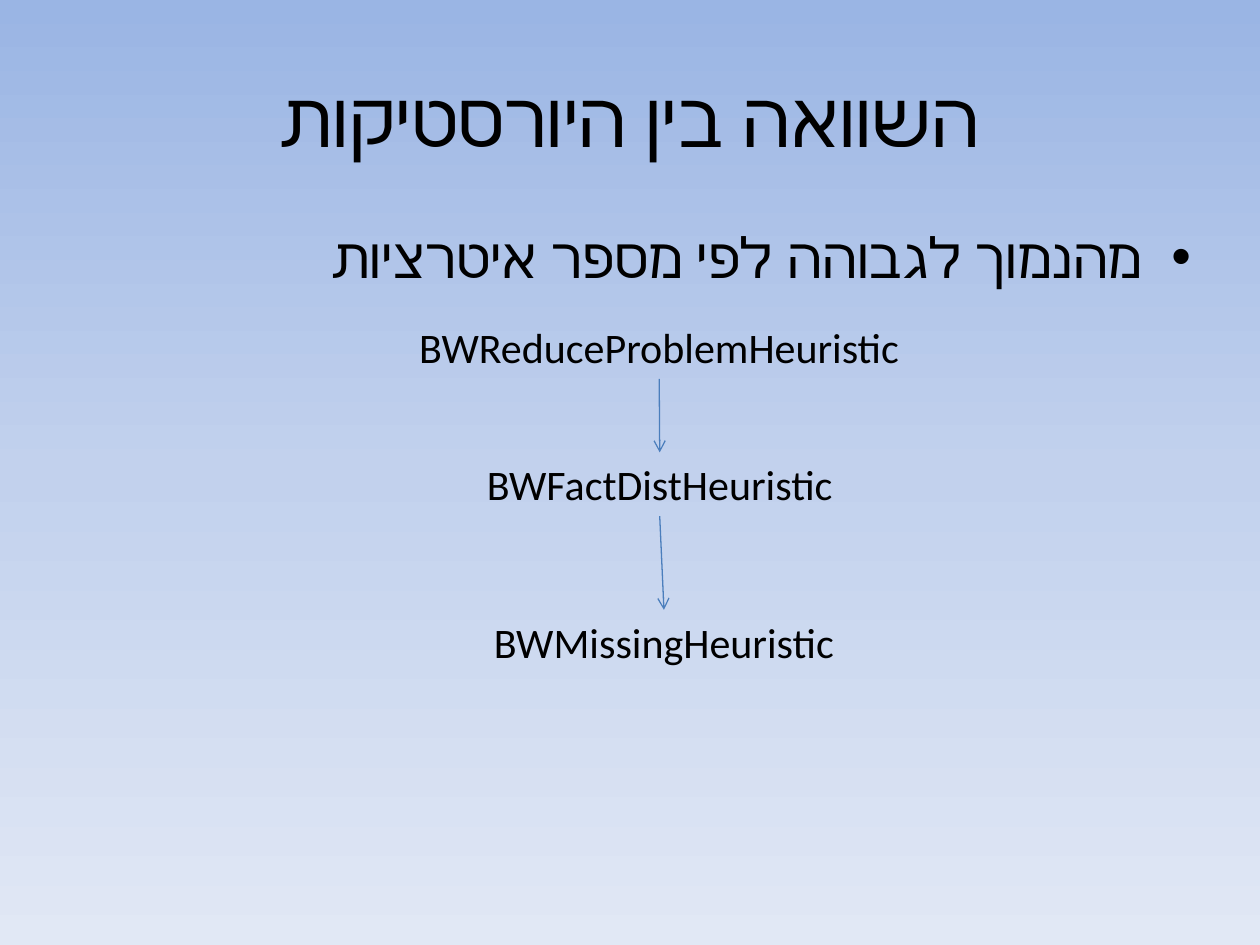
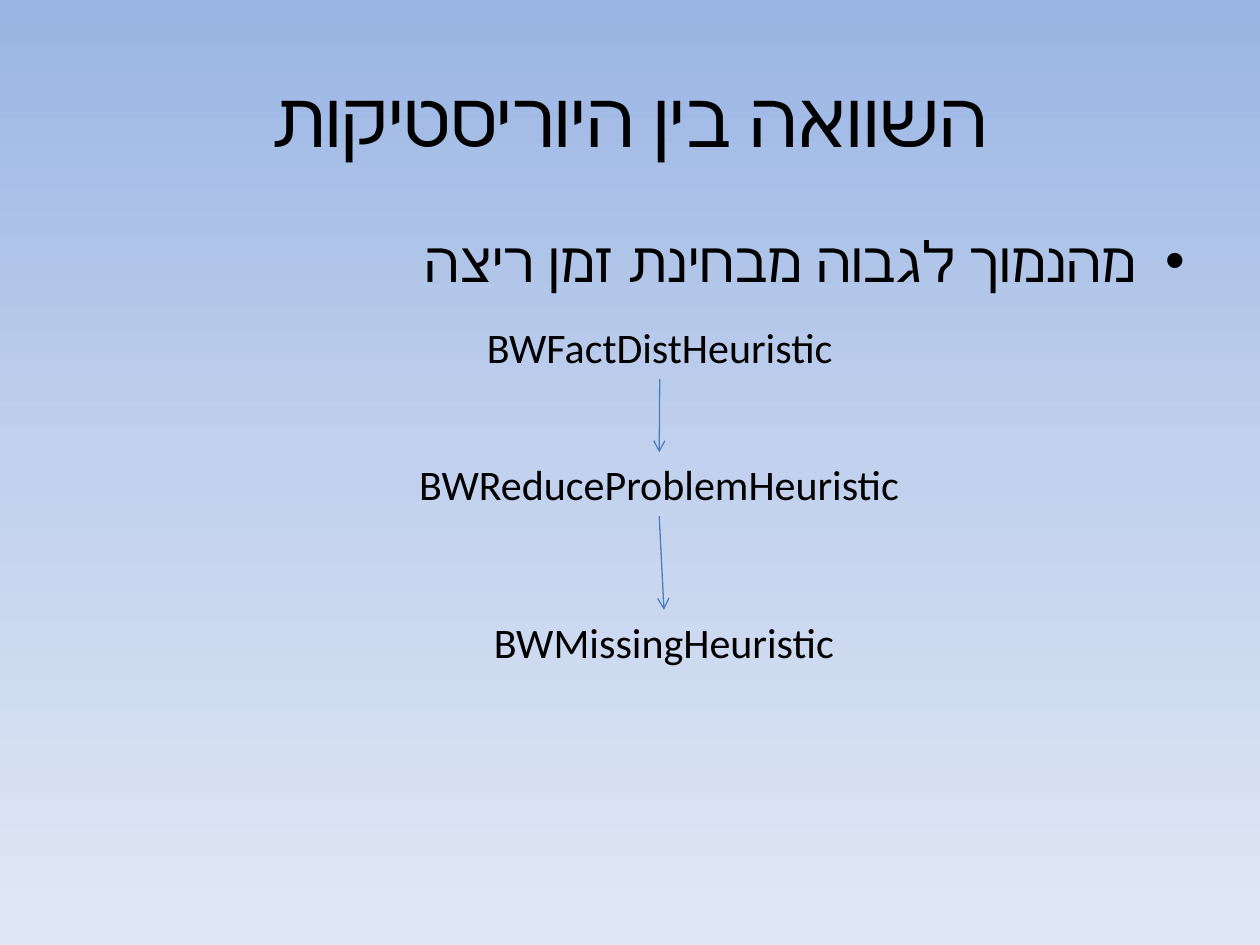
from copy import deepcopy
from itertools import pairwise
from lxml.etree import SubElement
from pptx import Presentation
from pptx.dml.color import RGBColor
from pptx.enum.lang import MSO_LANGUAGE_ID
from pptx.enum.shapes import MSO_CONNECTOR
from pptx.enum.text import MSO_ANCHOR, MSO_AUTO_SIZE, PP_ALIGN
from pptx.oxml.ns import qn
from pptx.util import Pt

HEURISTIC_BOXES = {
    "BWReduceProblemHeuristic": (376.7, 360, True),
    "BWFactDistHeuristic": (377, 214, False),
    "BWMissingHeuristic": (379.4, 242, True),
}
ROW_TOPS = (180, 258.5, 348.5)
ROW_HEIGHT = 36


def color(hex_string):
    return RGBColor.from_string(hex_string)


class Deck:
    font_name = "Calibri"
    text_color = "000000"
    arrow_color = "4B7EBC"
    background_colors = ("9AB5E4", "C2D1ED", "E1E8F5")

    def __init__(self):
        self.presentation = Presentation()
        self.presentation.slide_width = Pt(720)
        self.presentation.slide_height = Pt(540)
        self.slide = None
        self.set_background()

    def set_background(self):
        master = self.presentation.slide_master
        fill = master.background.fill
        fill.gradient()
        fill.gradient_angle = 270
        stop_list = master.element.find(".//" + qn("a:gsLst"))
        stop_list.insert(1, deepcopy(stop_list[0]))
        for stop, position, hex_string in zip(fill.gradient_stops, (0, 0.5, 1), self.background_colors):
            stop.position = position
            stop.color.rgb = color(hex_string)

    def format_text(self, shape, text, size, alignment):
        shape.text_frame.text = text
        paragraph = shape.text_frame.paragraphs[0]
        paragraph.alignment = alignment
        paragraph._p.get_or_add_pPr().set("rtl", "1")
        font = paragraph.runs[0].font
        font.name = self.font_name
        font.size = Pt(size)
        font.color.rgb = color(self.text_color)
        if not text.isascii():
            font.language_id = MSO_LANGUAGE_ID.HEBREW
        return paragraph

    def add_slide(self, title):
        layout = self.presentation.slide_layouts.get_by_name("Title Only")
        self.slide = self.presentation.slides.add_slide(layout)
        shape = self.slide.shapes.title
        shape.left, shape.top, shape.width, shape.height = Pt(36), Pt(21.6), Pt(648), Pt(90)
        shape.text_frame.vertical_anchor = MSO_ANCHOR.MIDDLE
        self.format_text(shape, title, 44, PP_ALIGN.CENTER)

    def add_text_box(self, left, top, width, height, word_wrap=True):
        shape = self.slide.shapes.add_textbox(Pt(left), Pt(top), Pt(width), Pt(height))
        shape.text_frame.word_wrap = word_wrap
        return shape

    def add_bullet(self, text, left, top, height):
        shape = self.add_text_box(left, top, 648, height)
        paragraph = self.format_text(shape, text, 32, PP_ALIGN.RIGHT)
        paragraph.space_before = Pt(6.4)
        properties = paragraph._p.get_or_add_pPr()
        properties.set("marL", str(Pt(27)))
        properties.set("indent", str(Pt(-27)))
        SubElement(properties, qn("a:buFont"), typeface="Arial")
        SubElement(properties, qn("a:buChar"), char="•")

    def add_heuristic(self, name, top):
        center, width, word_wrap = HEURISTIC_BOXES[name]
        shape = self.add_text_box(center - width / 2, top, width, ROW_HEIGHT, word_wrap)
        shape.text_frame.auto_size = MSO_AUTO_SIZE.SHAPE_TO_FIT_TEXT
        self.format_text(shape, name, 24, PP_ALIGN.CENTER)
        return center, top

    def add_arrow(self, start, end):
        connector = self.slide.shapes.add_connector(
            MSO_CONNECTOR.STRAIGHT, Pt(start[0]), Pt(start[1]), Pt(end[0]), Pt(end[1]))
        connector.line.color.rgb = color(self.arrow_color)
        connector.line.width = Pt(0.75)
        SubElement(connector.line._get_or_add_ln(), qn("a:tailEnd"), type="arrow")
        SubElement(connector._element.spPr, qn("a:effectLst"))

    def add_ranking(self, names):
        anchors = [self.add_heuristic(name, top) for name, top in zip(names, ROW_TOPS)]
        for (center, top), following in pairwise(anchors):
            self.add_arrow((center, top + ROW_HEIGHT + 0.5), following)


deck = Deck()

deck.add_slide("השוואה בין היורסטיקות")
deck.add_bullet("מהנמוך לגבוהה לפי מספר איטרציות", 39.6, 123.8, 54)
deck.add_ranking(("BWReduceProblemHeuristic", "BWFactDistHeuristic", "BWMissingHeuristic"))

deck.add_slide("השוואה בין היוריסטיקות")
deck.add_bullet("מהנמוך לגבוה מבחינת זמן ריצה", 36, 126, 60)
deck.add_ranking(("BWFactDistHeuristic", "BWReduceProblemHeuristic", "BWMissingHeuristic"))

deck.presentation.save("out.pptx")
